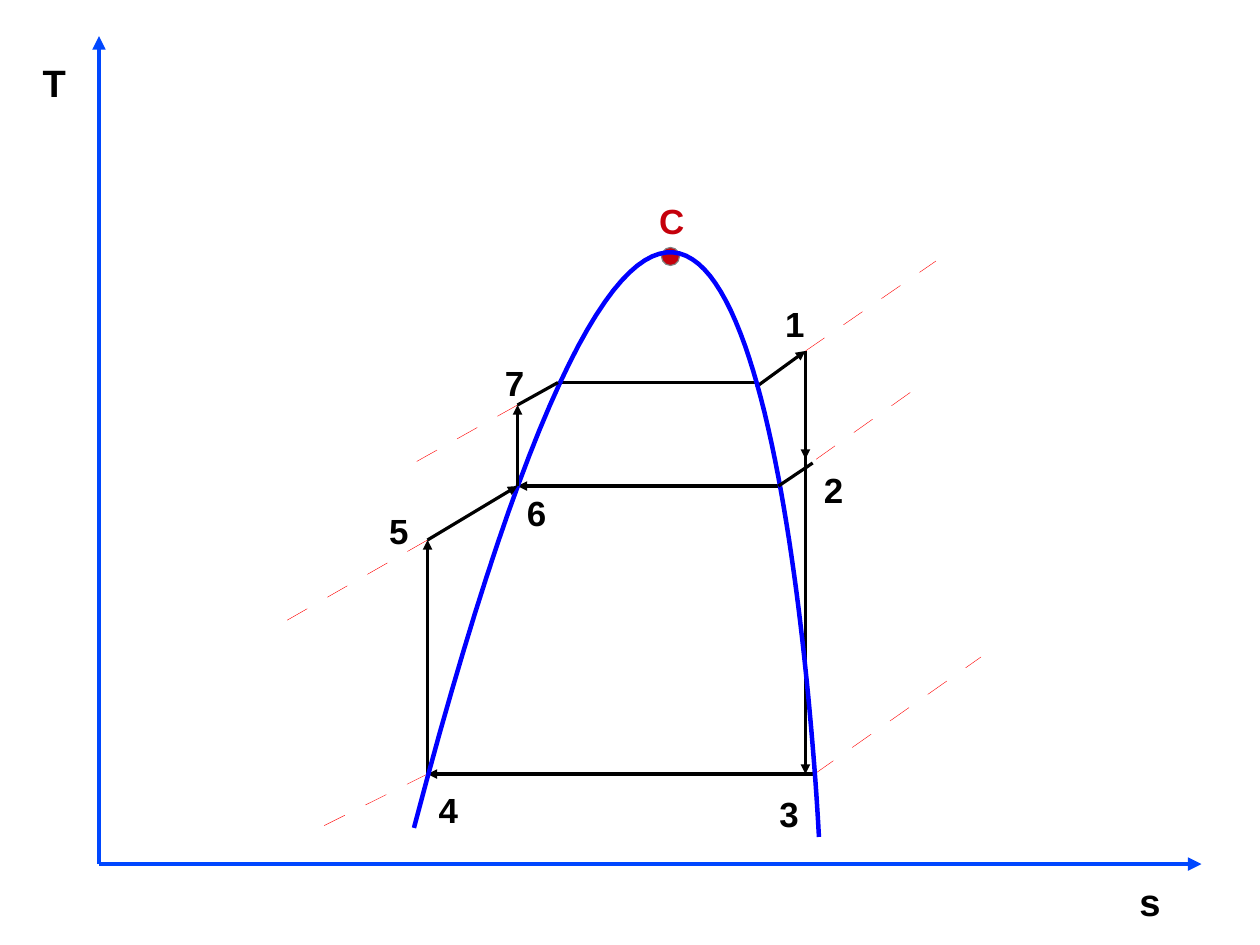
import pptx
import pptx.dml.color
import pptx.enum.shapes
import pptx.enum.text
import pptx.oxml
import pptx.oxml.ns
import pptx.util
from pptx.util import Cm

RGBColor = pptx.dml.color.RGBColor
AXIS_BLUE = RGBColor(0x00, 0x47, 0xFF)
CURVE_BLUE = RGBColor(0x00, 0x00, 0xFF)
BLACK = RGBColor(0x00, 0x00, 0x00)
RED = RGBColor(0xFF, 0x00, 0x00)
CRITICAL_RED = RGBColor(0xC5, 0x00, 0x0B)
GREY = RGBColor(0x80, 0x80, 0x80)
THICK = 2.83
NS = pptx.oxml.ns.nsdecls("a")

# All coordinates are centimetres from the top left of the diagram box
ORIGIN = (2.2, 19.2)
POINT_4, POINT_5 = (9.5, 17.2), (9.5, 12)
POINT_6, POINT_7 = (11.5, 10.8), (11.5, 9)
POINT_1, POINT_3 = (17.9, 7.8), (17.9, 17.2)
BOILING_END, DEW_END = (12.4, 8.5), (16.8, 8.5)
VAPOUR_MID, VAPOUR_LOW = (17.3, 10.8), (18.1, 17.2)

# Start, end, arrowhead at the end
UNDER_CURVE = [
    (BOILING_END, DEW_END, False),
    ((16.8, 8.6), POINT_1, True),
    (VAPOUR_LOW, POINT_4, True),
    (POINT_4, POINT_5, True),
    ((17.9, 8), (17.9, 10.2), False),
    (POINT_1, (17.9, 10.2), True),
    (VAPOUR_MID, POINT_6, True),
    (POINT_1, POINT_3, True),
]
OVER_CURVE = [
    (POINT_5, POINT_6, True),
    (POINT_6, POINT_7, True),
    (POINT_7, BOILING_END, False),
    (VAPOUR_MID, (18.06, 10.29), False),
]
ISOBARS = [
    (POINT_4, (7.1, 18.4)),
    (POINT_5, (6, 14)),
    (POINT_7, (9, 10.4)),
    (POINT_1, (20.8, 5.8)),
    (VAPOUR_MID, (20.4, 8.6)),
    (VAPOUR_LOW, (21.8, 14.6)),
]
SATURATION_BEZIER = [(9.2, 18.4), (16.8, -10.5), (18.2, 18.6), (18.2, 18.6)]
STATE_LABELS = {
    "1": (17.2, 6.6), "2": (18.06, 10.29), "3": (17.07, 17.48), "4": (9.5, 17.4),
    "5": (8.4, 11.2), "6": (11.46, 10.8), "7": (10.97, 7.9),
}


def add_line(s, box, start, end, color, width=0, arrow=False, dashed=False):
    left, top = box
    c = s.shapes.add_connector(
        pptx.enum.shapes.MSO_CONNECTOR.STRAIGHT,
        Cm(left + start[0]), Cm(top + start[1]), Cm(left + end[0]), Cm(top + end[1]))
    c.line.color.rgb = color
    c.line.width = pptx.util.Pt(width)
    ln = c.line._get_or_add_ln()
    if dashed:
        ln.append(pptx.oxml.parse_xml(
            f'<a:custDash {NS}><a:ds d="5700000" sp="5700000"/></a:custDash>'))
    if arrow:
        ln.append(pptx.oxml.parse_xml(f'<a:tailEnd {NS} type="triangle"/>'))
    c._element.spPr.append(pptx.oxml.parse_xml(f"<a:effectLst {NS}/>"))


def add_label(s, box, text, at, size=22, width=0.94, height=1.12, color=BLACK):
    left, top = box
    sp = s.shapes.add_textbox(Cm(left + at[0]), Cm(top + at[1]), Cm(width), Cm(height))
    tf = sp.text_frame
    tf.word_wrap = False
    tf.auto_size = pptx.enum.text.MSO_AUTO_SIZE.SHAPE_TO_FIT_TEXT
    r = tf.paragraphs[0].add_run()
    r.text = text
    r.font.name = "Arial"
    r.font.size = pptx.util.Pt(size)
    r.font.bold = True
    r.font.color.rgb = color


def add_axes(s, box):
    for tip in ((2.2, 0.8), (26.7, 19.2)):
        add_line(s, box, ORIGIN, tip, AXIS_BLUE, THICK, arrow=True)
    add_label(s, box, "T", (0.7, 1.2), 24, 1.02, 1.19)
    add_label(s, box, "s", (25.07, 19.4), 24, 0.97, 1.19)


def add_critical_point(s, box):
    left, top = box
    sp = s.shapes.add_shape(pptx.enum.shapes.MSO_SHAPE.OVAL,
                            Cm(left + 14.7), Cm(top + 5.5), Cm(0.4), Cm(0.4))
    sp.shadow.inherit = False
    sp.fill.solid()
    sp.fill.fore_color.rgb = CRITICAL_RED
    sp.line.color.rgb = GREY
    sp.line.width = pptx.util.Pt(0)
    add_label(s, box, "C", (14.4, 4.3), width=1.07, color=CRITICAL_RED)


def bezier_point(t):
    weights = ((1 - t) ** 3, 3 * t * (1 - t) ** 2, 3 * t ** 2 * (1 - t), t ** 3)
    return tuple(sum(w * p[i] for w, p in zip(weights, SATURATION_BEZIER)) for i in (0, 1))


def add_saturation_curve(s, box, steps=80):
    left, top = box
    points = [(Cm(left + x), Cm(top + y))
              for x, y in (bezier_point(i / steps) for i in range(steps + 1))]
    fb = s.shapes.build_freeform(*points[0])
    fb.add_line_segments(points[1:], close=False)
    sp = fb.convert_to_shape()
    sp.shadow.inherit = False
    sp.fill.background()
    sp.line.color.rgb = CURVE_BLUE
    sp.line.width = pptx.util.Pt(THICK)


def add_cycle(s, box):
    # Isobars outside the dome
    for start, end in ISOBARS:
        add_line(s, box, start, end, RED, 0.25, dashed=True)
    # Processes and dome
    for start, end, arrow in UNDER_CURVE:
        add_line(s, box, start, end, BLACK, arrow=arrow)
    add_critical_point(s, box)
    add_saturation_curve(s, box)
    for start, end, arrow in OVER_CURVE:
        add_line(s, box, start, end, BLACK, arrow=arrow)
    # State numbers
    for text, at in STATE_LABELS.items():
        add_label(s, box, text, at)


def main():
    prs = pptx.Presentation()
    prs.slide_width, prs.slide_height = Cm(28), Cm(21)
    s = prs.slides.add_slide(prs.slide_layouts[6])
    diagram_box = (0, 0)
    add_axes(s, diagram_box)
    add_cycle(s, diagram_box)
    prs.save("out.pptx")


if __name__ == "__main__":
    main()
